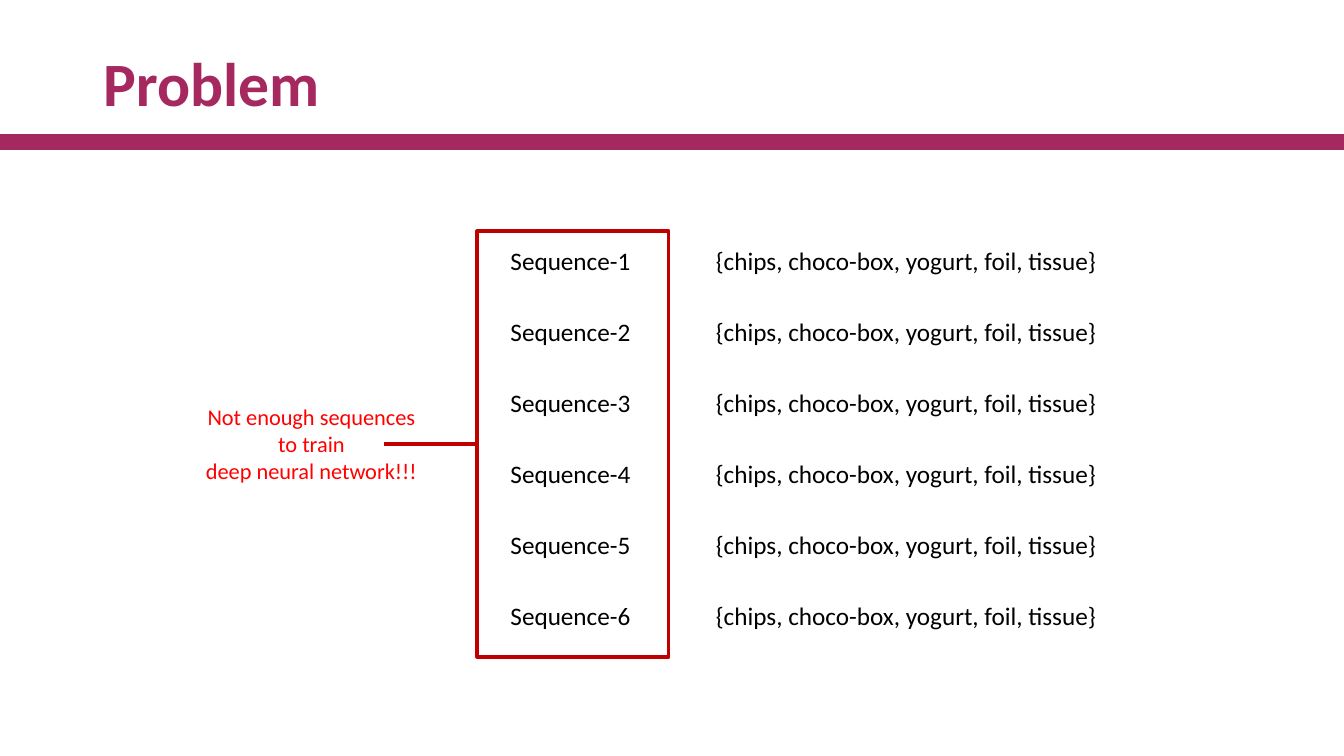
from lxml import etree
from pptx import Presentation
from pptx.dml.color import RGBColor
from pptx.enum.shapes import MSO_CONNECTOR, MSO_SHAPE
from pptx.enum.text import MSO_ANCHOR, PP_ALIGN
from pptx.oxml.ns import qn
from pptx.util import Pt

RECT = MSO_SHAPE.RECTANGLE
STRAIGHT = MSO_CONNECTOR.STRAIGHT
MIDDLE = MSO_ANCHOR.MIDDLE
LEFT, CENTER = PP_ALIGN.LEFT, PP_ALIGN.CENTER
TITLE_ONLY = 5
LEFT_SIDE = 1
EMU_PER_PX = 914400 / 100.8
FONT = "Calibri"
COLORS = {"brand": "A5285F", "text": "000000", "frame": "C00000", "note": "FF0000"}
ITEMS = "{chips, choco-box, yogurt, foil, tissue}"
NOTE = ["Not enough sequences", "to train", "deep neural network!!!"]


def px(*lengths):
    return [round(n * EMU_PER_PX) for n in lengths]


def color(name):
    return RGBColor.from_string(COLORS[name])


def style(p, size, color_name, align=CENTER, bold=False):
    p.alignment = align
    p.font.name = FONT
    p.font.size = Pt(size)
    p.font.bold = bold
    p.font.color.rgb = color(color_name)


def add_text(s, box, lines, size, color_name):
    tf = s.shapes.add_textbox(*px(*box)).text_frame
    tf.word_wrap = True
    tf.text = "\n".join(lines)
    for p in tf.paragraphs:
        style(p, size, color_name)


def add_rect(s, box):
    sp = s.shapes.add_shape(RECT, *px(*box))
    sp.shadow.inherit = False
    return sp


def outline(sp):
    sp.line.color.rgb = color("frame")
    sp.line.width = Pt(2.25)


def add_header(s, x, y, w, h):
    title = s.shapes.title
    title.left, title.top, title.width, title.height = px(x + 93, y + 40, w - 185, h - 56)
    tf = title.text_frame
    tf.text = "Problem"
    tf.vertical_anchor = MIDDLE
    p = tf.paragraphs[0]
    p.line_spacing = 0.9
    style(p, 44, "brand", LEFT, True)
    bar = add_rect(s, (x, y + h - 16, w, 16))
    bar.fill.solid()
    bar.fill.fore_color.rgb = color("brand")
    bar.line.fill.background()


def add_sequences(s, x, y, w, h, count=6):
    pitch = h // count
    label_w = 227
    for i in range(count):
        top = y + 9 + i * pitch
        add_text(s, (x, top, label_w, 40), [f"Sequence-{i + 1}"], 18, "text")
        add_text(s, (x + label_w, top, w - label_w, 40), [ITEMS], 18, "text")
    frame = add_rect(s, (x + 20, y, 192, h))
    frame.fill.background()
    outline(frame)
    return frame


def add_note(s, x, y, w, h, frame):
    end = px(x + 191, y + h // 2)
    line = s.shapes.add_connector(STRAIGHT, frame.left, frame.top, *end)
    line.begin_connect(frame, LEFT_SIDE)
    outline(line)
    etree.SubElement(line._element.spPr, qn("a:effectLst"))
    add_text(s, (x, y, w, h), NOTE, 16, "note")


def main():
    prs = Presentation()
    prs.slide_width, prs.slide_height = px(1344, 756)
    s = prs.slides.add_slide(prs.slide_layouts[TITLE_ONLY])
    add_header(s, 0, 0, 1344, 150)
    frame = add_sequences(s, 457, 231, 671, 426)
    add_note(s, 193, 398, 237, 92, frame)
    prs.save("out.pptx")


if __name__ == "__main__":
    main()
